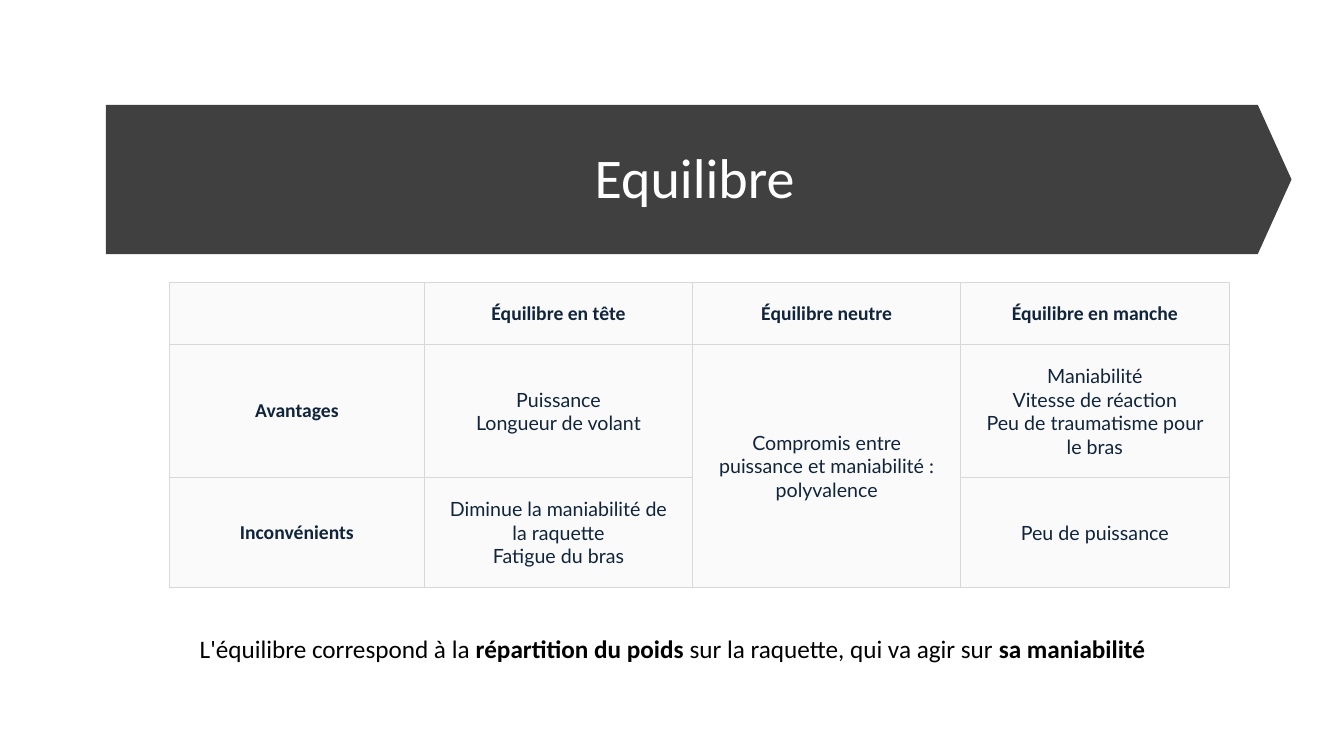
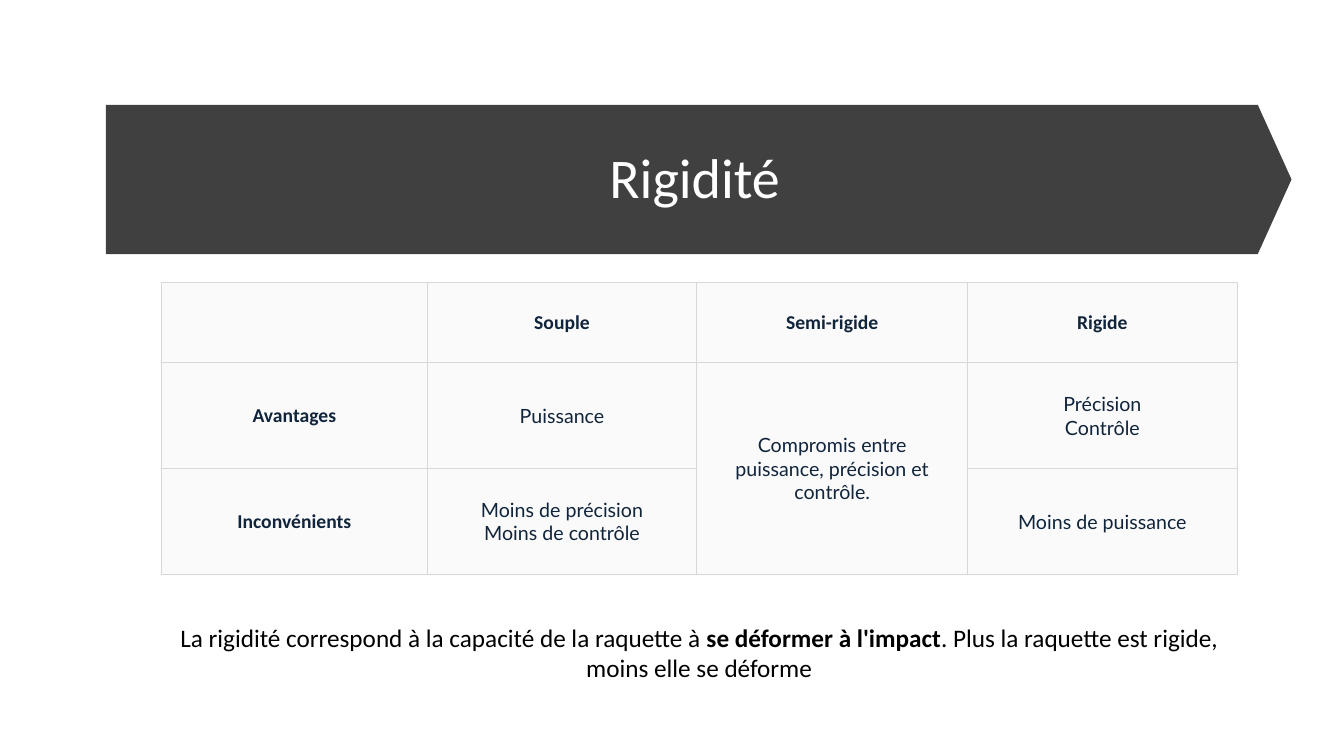
"""Build two slides that compare badminton rackets by balance and by stiffness."""
from dataclasses import dataclass

from lxml.etree import SubElement
from pptx import Presentation
from pptx.dml.color import RGBColor
from pptx.enum.shapes import MSO_SHAPE as Preset
from pptx.enum.text import MSO_ANCHOR as Anchor, PP_ALIGN as Align
from pptx.oxml.ns import qn
from pptx.slide import Slide
from pptx.table import Table, _Cell as Cell
from pptx.text.text import TextFrame
from pptx.util import Inches, Pt

BAND = "404040"
WHITE = "FFFFFF"
BLACK = "000000"
NAVY = "10243B"
CELL_FILL = "FAFAFA"
CELL_BORDER = "D8D8D8"
HEADING_FONT = "Calibri"
BODY_FONT = "Lato"
TABLE_TOP = 2.8


@dataclass(frozen=True)
class Box:
    left: float
    top: float
    width: float
    height: float

    def lengths(self) -> tuple[Inches, ...]:
        return tuple(map(Inches, (self.left, self.top, self.width, self.height)))


@dataclass(frozen=True)
class Comparison:
    title: str
    headings: tuple[str, str, str]
    advantages: tuple[str, str, str]
    drawbacks: tuple[str, str, str]
    table_left: float
    columns: tuple[float, ...]
    rows: tuple[float, ...]
    inset: float
    caption_box: Box
    caption: tuple[str, ...]


BAND_BOX = Box(1.05, 1.04, 11.76, 1.48)
TITLE_BOX = Box(1.41, 1.32, 10.96, 0.94)

COMPARISONS = (
    Comparison(
        title="Equilibre",
        headings=("Équilibre en tête", "Équilibre neutre", "Équilibre en manche"),
        advantages=(
            "Puissance\nLongueur de volant",
            "Compromis entre puissance et maniabilité : polyvalence",
            "Maniabilité\nVitesse de réaction\nPeu de traumatisme pour le bras",
        ),
        drawbacks=(
            "Diminue la maniabilité de la raquette\nFatigue du bras",
            "",
            "Peu de puissance",
        ),
        table_left=1.68,
        columns=(2.53, 2.66, 2.66, 2.66),
        rows=(0.62, 1.32, 1.09),
        inset=0.19,
        caption_box=Box(1.76, 6.23, 9.82, 0.4),
        caption=(
            "L'équilibre correspond à la ",
            "répartition du poids",
            " sur la raquette, qui va agir sur ",
            "sa maniabilité",
        ),
    ),
    Comparison(
        title="Rigidité",
        headings=("Souple", "Semi-rigide", "Rigide"),
        advantages=(
            "Puissance",
            "Compromis entre puissance, précision et contrôle.",
            "Précision\nContrôle",
        ),
        drawbacks=(
            "Moins de précision\nMoins de contrôle",
            "",
            "Moins de puissance",
        ),
        table_left=1.6,
        columns=(2.64, 2.67, 2.69, 2.67),
        rows=(0.8, 1.05, 1.05),
        inset=0.23,
        caption_box=Box(1.6, 6.12, 10.67, 0.71),
        caption=(
            "La rigidité correspond à la capacité de la raquette à ",
            "se déformer à l'impact",
            ". Plus la raquette est rigide, moins elle se déforme",
        ),
    ),
)


def color(value: str) -> RGBColor:
    return RGBColor.from_string(value)


def style_text(frame: TextFrame, size: int, font: str, text_color: str) -> None:
    for paragraph in frame.paragraphs:
        paragraph.alignment = Align.CENTER
        paragraph.font.size = Pt(size)
        paragraph.font.name = font
        paragraph.font.color.rgb = color(text_color)


def add_text_frame(slide: Slide, box: Box) -> TextFrame:
    frame = slide.shapes.add_textbox(*box.lengths()).text_frame
    frame.word_wrap = True
    return frame


def add_title_band(slide: Slide, title: str) -> None:
    band = slide.shapes.add_shape(Preset.PENTAGON, *BAND_BOX.lengths())
    band.adjustments[0] = 0.226
    band.shadow.inherit = False
    band.fill.solid()
    band.fill.fore_color.rgb = color(BAND)
    band.line.fill.background()

    frame = add_text_frame(slide, TITLE_BOX)
    frame.vertical_anchor = Anchor.MIDDLE
    frame.text = title
    frame.paragraphs[0].line_spacing = 0.9
    style_text(frame, 40, HEADING_FONT, WHITE)


def add_borders(cell: Cell) -> None:
    properties = cell._tc.get_or_add_tcPr()
    for side in ("a:lnL", "a:lnR", "a:lnT", "a:lnB"):
        line = SubElement(properties, qn(side), w=str(Pt(0.75)))
        fill = SubElement(line, qn("a:solidFill"))
        SubElement(fill, qn("a:srgbClr"), val=CELL_BORDER)


def fill_cell(cell: Cell, text: str, heading: bool, inset: float) -> None:
    add_borders(cell)
    cell.fill.solid()
    cell.fill.fore_color.rgb = color(CELL_FILL)
    if not text:
        return
    cell.vertical_anchor = Anchor.MIDDLE
    cell.margin_left = cell.margin_right = Inches(inset)
    cell.margin_top = cell.margin_bottom = Inches(inset)
    cell.text_frame.text = text
    style_text(cell.text_frame, 14, HEADING_FONT if heading else BODY_FONT, NAVY)
    for paragraph in cell.text_frame.paragraphs:
        paragraph.font.bold = heading


def add_comparison_table(slide: Slide, comparison: Comparison) -> None:
    columns, rows = comparison.columns, comparison.rows
    box = Box(comparison.table_left, TABLE_TOP, sum(columns), sum(rows))
    table: Table = slide.shapes.add_table(
        len(rows), len(columns), *box.lengths()
    ).table
    table.first_row = table.horz_banding = False
    for column, width in zip(table.columns, columns):
        column.width = Inches(width)
    for row, height in zip(table.rows, rows):
        row.height = Inches(height)

    contents = (
        ("", *comparison.headings),
        ("Avantages", *comparison.advantages),
        ("Inconvénients", *comparison.drawbacks),
    )
    for row_index, texts in enumerate(contents):
        for column_index, text in enumerate(texts):
            heading = row_index == 0 or column_index == 0
            cell = table.cell(row_index, column_index)
            fill_cell(cell, text, heading, comparison.inset)
    table.cell(1, 2).merge(table.cell(2, 2))


def add_caption(slide: Slide, comparison: Comparison) -> None:
    frame = add_text_frame(slide, comparison.caption_box)
    for index, text in enumerate(comparison.caption):
        run = frame.paragraphs[0].add_run()
        run.text = text
        run.font.bold = index % 2 == 1
    style_text(frame, 18, HEADING_FONT, BLACK)


def main() -> None:
    presentation = Presentation()
    presentation.slide_width = Inches(13.33)
    presentation.slide_height = Inches(7.5)
    blank_layout = presentation.slide_layouts[6]
    for comparison in COMPARISONS:
        slide = presentation.slides.add_slide(blank_layout)
        add_title_band(slide, comparison.title)
        add_comparison_table(slide, comparison)
        add_caption(slide, comparison)
    presentation.save("out.pptx")


if __name__ == "__main__":
    main()
